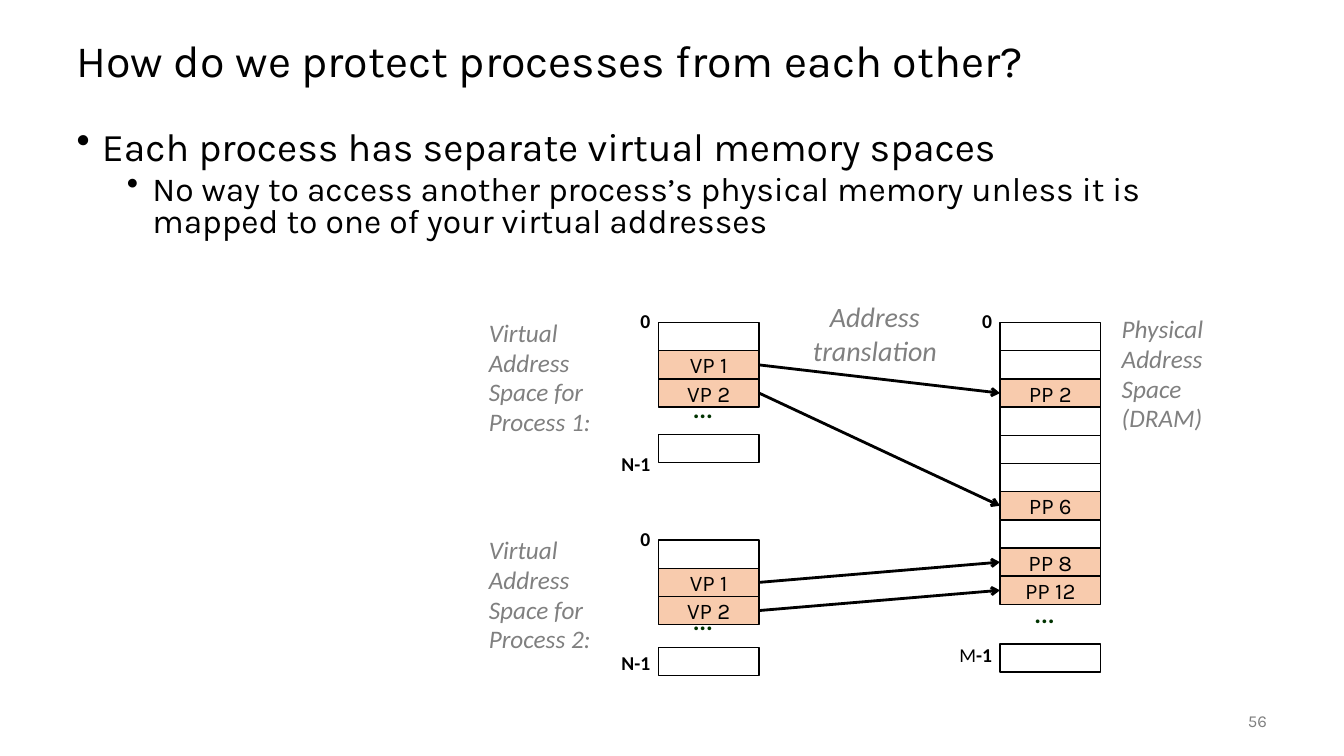
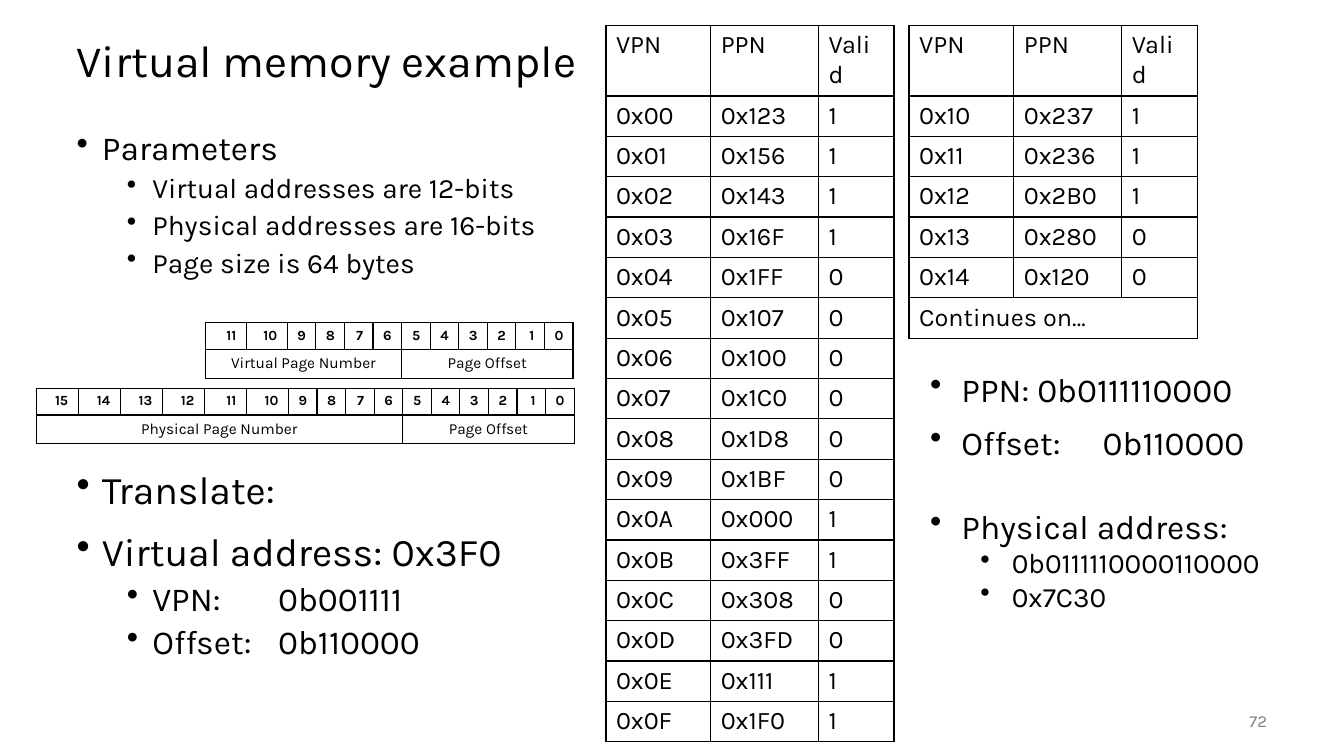
import pptx
import pptx.dml.color
import pptx.enum.shapes
import pptx.enum.text
import pptx.oxml
import pptx.oxml.ns
import pptx.util
import lxml.etree

Cm = pptx.util.Cm
Pt = pptx.util.Pt
ALIGN = pptx.enum.text.PP_ALIGN
ANCHOR = pptx.enum.text.MSO_ANCHOR
qn = pptx.oxml.ns.qn

# Shared look
BODY_FONT, LABEL_FONT = "Karla", "Calibri"
BLACK, GREY, DOT_GREEN, MAPPED = "000000", "808080", "003300", "F8CBAD"
MARGIN = 1.68
CELL_WIDTH, CELL_HEIGHT = 2.54, 0.71


def color(hex_value):
    return pptx.dml.color.RGBColor.from_string(hex_value)


def add_child(parent, tag, **attributes):
    return lxml.etree.SubElement(parent, qn(tag), attributes)


def style_runs(para, size, font=BODY_FONT, ink=BLACK, bold=False, italic=False):
    for span in para.runs:
        span.font.name, span.font.size = font, Pt(size)
        span.font.bold, span.font.italic = bold, italic
        span.font.color.rgb = color(ink)


def add_text(page, left, top, width, height, text, size, align=ALIGN.LEFT,
             anchor=ANCHOR.TOP, spacing=1.0, **style):
    box = page.shapes.add_textbox(Cm(left), Cm(top), Cm(width), Cm(height))
    frame = box.text_frame
    frame.word_wrap = True
    frame.vertical_anchor = anchor
    frame.text = text
    for para in frame.paragraphs:
        para.alignment = align
        para.line_spacing = spacing
        style_runs(para, size, **style)
    return box


def add_page(deck, title, number):
    page = deck.slides.add_slide(deck.slide_layouts[6])
    add_text(page, MARGIN, 0.64, 30.48, 1.9, title, 32,
             anchor=ANCHOR.MIDDLE, spacing=0.9)
    add_text(page, 29.64, 17.65, 2.54, 1.02, str(number), 12,
             align=ALIGN.RIGHT, anchor=ANCHOR.MIDDLE, ink=GREY)
    return page


def add_bullets(page, left, top, width, height, items, spacing=0.9,
                hang=0.64, tab=None):
    """Each item is (level, text, size, points before)."""
    text = "\n".join(item[1] for item in items)
    box = add_text(page, left, top, width, height, text, 24, spacing=spacing)
    for para, (level, _, size, before) in zip(box.text_frame.paragraphs, items):
        para.level = level
        properties = para._p.get_or_add_pPr()
        properties.set("marL", str(Cm(hang + 1.27 * level)))
        properties.set("indent", str(-Cm(hang)))
        add_child(properties, "a:buChar", char="•")
        if tab and "\t" in para.text:
            stops = add_child(properties, "a:tabLst")
            add_child(stops, "a:tab", pos=str(Cm(tab)), algn="l")
        para.space_before = Pt(before)
        style_runs(para, size)


# Memory diagram
def add_cell(page, left, top, name):
    cell = page.shapes.add_shape(
        pptx.enum.shapes.MSO_SHAPE.RECTANGLE,
        Cm(left), Cm(top), Cm(CELL_WIDTH), Cm(CELL_HEIGHT))
    cell.shadow.inherit = False
    cell.line.color.rgb = color(BLACK)
    cell.line.width = Pt(1)
    if not name:
        cell.fill.background()
        return cell
    cell.fill.solid()
    cell.fill.fore_color.rgb = color(MAPPED)
    cell.text_frame.text = name
    cell.text_frame.vertical_anchor = ANCHOR.MIDDLE
    para = cell.text_frame.paragraphs[0]
    para.alignment = ALIGN.CENTER
    style_runs(para, 16)
    return cell


def add_index(page, column_left, top, text):
    return add_text(page, column_left - 1.95, top, 2, 0.84, text, 14,
                    align=ALIGN.RIGHT, spacing=0.98, font=LABEL_FONT, bold=True)


def add_memory(page, left, top, names, last_top, dots_top):
    """Draw a column of cells, an ellipsis and the last cell."""
    cells = {}
    for row, name in enumerate(names):
        cells[name] = add_cell(page, left, top + row * CELL_HEIGHT, name)
    add_cell(page, left, last_top, "")
    add_text(page, left + 0.62, dots_top, 1.02, 0.91, "...", 18, spacing=0.88,
             font=LABEL_FONT, ink=DOT_GREEN, bold=True)
    add_index(page, left, top - 0.43, "0")
    return cells


def add_caption(page, left, top, width, text):
    add_text(page, left, top, width, 3.25, text, 18, spacing=0.98,
             font=LABEL_FONT, ink=GREY, italic=True)


def add_arrow(page, start, end):
    arrow = page.shapes.add_connector(
        pptx.enum.shapes.MSO_CONNECTOR.STRAIGHT, 0, 0, 0, 0)
    arrow.begin_connect(start, 3)
    arrow.end_connect(end, 1)
    arrow.line.color.rgb = color(BLACK)
    arrow.line.width = Pt(2)
    add_child(arrow.line._get_or_add_ln(), "a:tailEnd", type="arrow")
    add_child(arrow._element.spPr, "a:effectLst")


# Tables
def add_borders(cell):
    properties = cell._tc.get_or_add_tcPr()
    for index, side in enumerate(("a:lnL", "a:lnR", "a:lnT", "a:lnB")):
        line = lxml.etree.Element(qn(side), w=str(Pt(1)))
        fill = add_child(line, "a:solidFill")
        add_child(fill, "a:srgbClr", val=BLACK)
        properties.insert(index, line)


def add_grid(page, left, top, widths, heights):
    frame = page.shapes.add_table(len(heights), len(widths), Cm(left), Cm(top),
                                  Cm(sum(widths)), Cm(sum(heights)))
    grid = frame.table
    grid.first_row = grid.horz_banding = False
    for column, width in zip(grid.columns, widths):
        column.width = Cm(width)
    for row, height in zip(grid.rows, heights):
        row.height = Cm(height)
    for cell in grid.iter_cells():
        cell.fill.background()
        add_borders(cell)
    return grid


def fill_cell(cell, text, size, align=ALIGN.LEFT, bold=False):
    cell.text_frame.text = text
    para = cell.text_frame.paragraphs[0]
    para.alignment = align
    style_runs(para, size, bold=bold)


def add_address_layout(page, left, top, widths, page_label):
    """Number the bits downwards; the lowest six are the offset."""
    bits = len(widths)
    grid = add_grid(page, left, top, widths, [0.67, 0.71])
    for column in range(bits):
        fill_cell(grid.cell(0, column), str(bits - 1 - column), 10,
                  ALIGN.RIGHT, bold=True)
    split = bits - 6
    for first, last, label in ((0, split - 1, page_label),
                               (split, bits - 1, "Page Offset")):
        grid.cell(1, first).merge(grid.cell(1, last))
        fill_cell(grid.cell(1, first), label, 11, ALIGN.CENTER)


def add_page_table(page, left, first_vpn, entries, note=None):
    rows = [("VPN", "PPN", "Valid")]
    rows += [(f"0x{vpn:02X}", f"0x{ppn}", valid)
             for vpn, (ppn, valid) in enumerate(entries, first_vpn)]
    if note:
        rows.append((note,))
    grid = add_grid(page, left, 0.64, [2.64, 2.72, 1.9],
                    [1.75] + [1.0] * (len(rows) - 1))
    for row, values in enumerate(rows):
        if len(values) == 1:
            grid.cell(row, 0).merge(grid.cell(row, 2))
        for column, value in enumerate(values):
            fill_cell(grid.cell(row, column), value, 18)


# Slides
def build_protection(deck):
    page = add_page(deck, "How do we protect processes from each other?", 56)
    add_bullets(page, MARGIN, 3.18, 30.48, 3.25, [
        (0, "Each process has separate virtual memory spaces", 28, 0),
        (1, "No way to access another process’s physical memory unless it is "
            "mapped to one of your virtual addresses", 24, 5),
    ], spacing=0.8)

    virtual_left, physical_left = 16.59, 25.2
    virtual_names = ["", "VP 1", "VP 2"]
    physical = add_memory(
        page, physical_left, 8.13,
        ["", "", "PP 2", "", "", "", "PP 6", "", "PP 8", "PP 12"], 16.23, 15.04)
    end_label = add_index(page, physical_left, 16.1, "M")
    para = end_label.text_frame.paragraphs[0]
    para.add_run().text = "-1"
    style_runs(para, 14, font=LABEL_FONT, bold=True)
    para.runs[0].font.bold = False
    add_caption(page, 28.02, 7.82, 2.97, "Physical\nAddress\nSpace (DRAM)")

    processes = [
        (8.13, 10.95, 9.88, 11.3, ("PP 2", "PP 6")),
        (13.61, 16.31, 15.24, 16.31, ("PP 8", "PP 12")),
    ]
    for number, (top, last_top, dots_top, end_top, targets) in enumerate(processes, 1):
        virtual = add_memory(page, virtual_left, top, virtual_names,
                             last_top, dots_top)
        add_index(page, virtual_left, end_top, "N-1")
        add_caption(page, 12.07, top - 0.22, 3.81,
                    f"Virtual Address Space for Process {number}:")
        for name, target in zip(virtual_names[1:], targets):
            add_arrow(page, virtual[name], physical[target])
    add_text(page, 20.17, 7.42, 3.76, 1.96, "Address\ntranslation", 20,
             align=ALIGN.CENTER, font=LABEL_FONT, ink=GREY, italic=True)


def build_example(deck):
    page = add_page(deck, "Virtual memory example", 72)
    add_bullets(page, MARGIN, 3.18, 13.5, 4.3, [
        (0, "Parameters", 24, 0),
        (1, "Virtual addresses are 12-bits", 20, 5),
        (1, "Physical addresses are 16-bits", 20, 5),
        (1, "Page size is 64 bytes", 20, 5),
    ])
    add_address_layout(page, 5.18, 8.13, [1.03] * 2 + [0.72] * 10,
                       "Virtual Page Number")
    add_address_layout(page, 0.91, 9.78, [1.06] * 6 + [0.72] * 10,
                       "Physical Page Number")
    add_bullets(page, MARGIN, 11.74, 13.5, 5.4, [
        (0, "Translate:", 28, 0),
        (0, "Virtual address: 0x3F0", 28, 14),
        (1, "VPN:\t0b001111", 24, 5),
        (1, "Offset:\t0b110000", 24, 5),
    ], tab=5.08)

    add_page_table(page, 15.27, 0x00, [
        ("123", "1"), ("156", "1"), ("143", "1"), ("16F", "1"),
        ("1FF", "0"), ("107", "0"), ("100", "0"), ("1C0", "0"),
        ("1D8", "0"), ("1BF", "0"), ("000", "1"), ("3FF", "1"),
        ("308", "0"), ("3FD", "0"), ("111", "1"), ("1F0", "1"),
    ])
    add_page_table(page, 22.91, 0x10, [
        ("237", "1"), ("236", "1"), ("2B0", "1"), ("280", "0"), ("120", "0"),
    ], note="Continues on…")
    add_bullets(page, 23.19, 9.17, 9.68, 6.4, [
        (0, "PPN: 0b0111110000", 24, 0),
        (0, "Offset:\t0b110000", 24, 9),
        (0, "Physical address:", 24, 31),
        (1, "0b0111110000110000", 20, 0),
        (1, "0x7C30", 20, 0),
    ], spacing=1.0, hang=0.79, tab=4.35)


def main():
    deck = pptx.Presentation()
    deck.slide_width, deck.slide_height = Cm(33.87), Cm(19.05)
    build_protection(deck)
    build_example(deck)
    deck.save("out.pptx")


if __name__ == "__main__":
    main()
